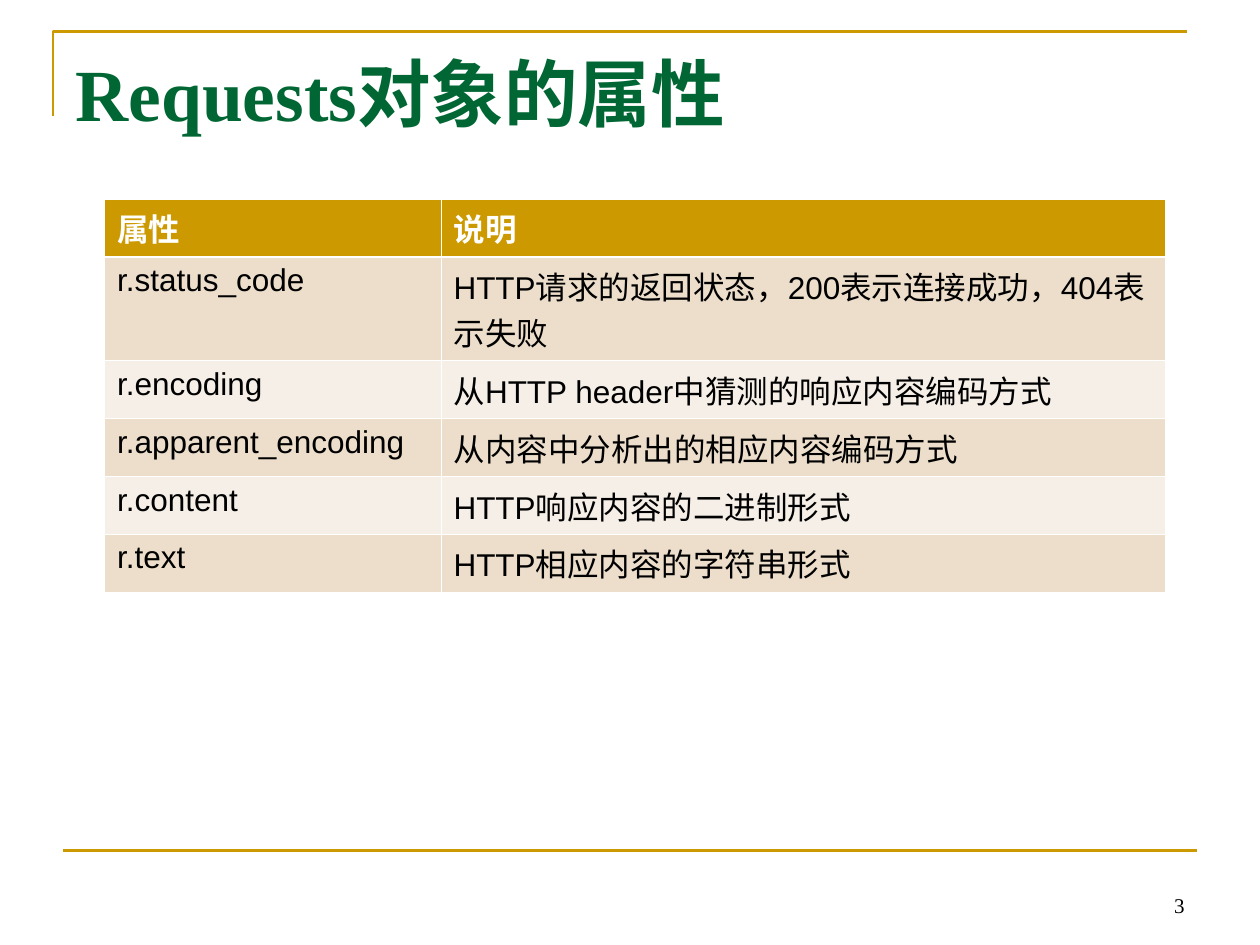
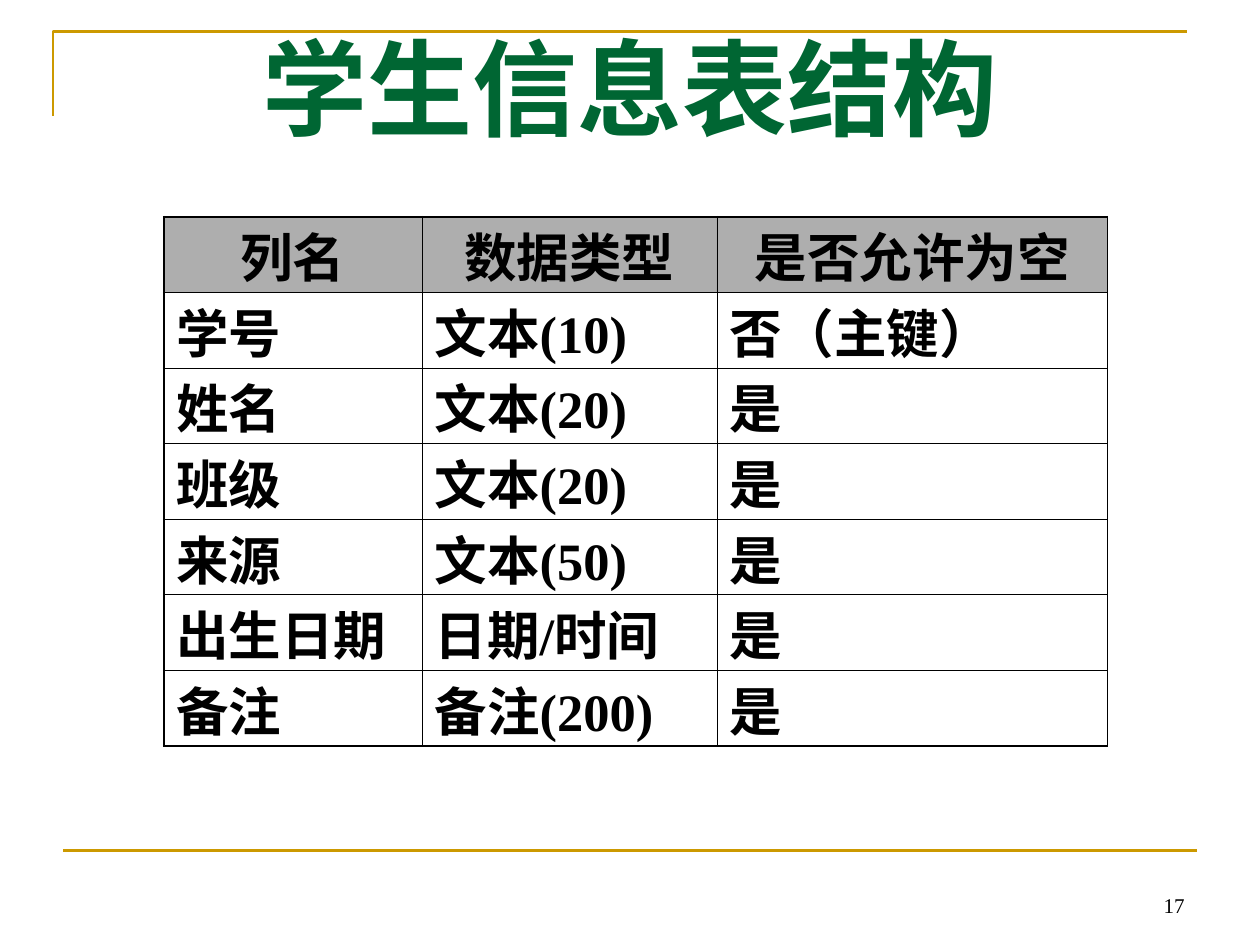
"""Build two slides about request attributes and a student table structure."""

from lxml.etree import SubElement
from pptx import Presentation
from pptx.dml.color import RGBColor as Color
from pptx.enum.shapes import MSO_CONNECTOR as Connector
from pptx.enum.text import MSO_ANCHOR as Anchor, MSO_AUTO_SIZE as AutoSize, PP_ALIGN as Align
from pptx.oxml import parse_xml
from pptx.oxml.ns import nsdecls, qn
from pptx.util import Inches, Pt

THEME = {
    "gold": Color.from_string("CC9900"),
    "page_number": {"name": "Times New Roman", "size": Pt(12), "bold": False, "color": "000000"},
    "title": {"name": "Times New Roman", "size": Pt(42), "bold": True, "color": "006633"},
    "big_title": {"name": "Times New Roman", "size": Pt(60), "bold": True, "color": "006633"},
    "attribute_header": {"name": "Arial", "size": Pt(18), "bold": True, "color": "FFFFFF"},
    "attribute_body": {"name": "Arial", "size": Pt(18), "bold": False, "color": "000000"},
    "field": {"name": "Times New Roman", "size": Pt(30), "bold": True, "color": "000000"},
}

PAGES = [
    {
        "number": "3",
        "title": "Requests对象的属性",
        "title_style": "title",
        "title_box": (0.5, 0.33, 8.5, 0.92),
        "title_align": Align.LEFT,
        "table_box": (0.83, 1.58, 8.42, 3.12),
        "columns": [2.67, 5.75],
        "row_heights": [0.46, 0.82, 0.46, 0.46, 0.46, 0.46],
        "styles": ("attribute_header", "attribute_body"),
        "header_align": Align.LEFT,
        "header_fill": ("CC9900", 100),
        "body_fills": ["ECDECB", "F6EFE7"],
        "margin": 0.05,
        "border": {"color": "FFFFFF", "inner": 0.45, "outer": 0.45, "header": 1.47},
        "rows": [
            ("属性", "说明"),
            ("r.status_code", "HTTP请求的返回状态，200表示连接成功，404表示失败"),
            ("r.encoding", "从HTTP header中猜测的响应内容编码方式"),
            ("r.apparent_encoding", "从内容中分析出的相应内容编码方式"),
            ("r.content", "HTTP响应内容的二进制形式"),
            ("r.text", "HTTP相应内容的字符串形式"),
        ],
    },
    {
        "number": "17",
        "title": "学生信息表结构",
        "title_style": "big_title",
        "title_box": (1.14, 0.14, 7.72, 1.1),
        "title_align": Align.CENTER,
        "table_box": (1.3, 1.72, 7.49, 4.2),
        "columns": [2.05, 2.34, 3.1],
        "row_heights": [0.6] * 7,
        "styles": ("field", "field"),
        "header_align": Align.CENTER,
        "header_fill": ("5F5F5F", 50),
        "body_fills": [],
        "margin": 0,
        "border": {"color": "000000", "inner": 0.45, "outer": 1.08, "header": 0.45},
        "rows": [
            ("列名", "数据类型", "是否允许为空"),
            ("学号", "文本(10)", "否（主键）"),
            ("姓名", "文本(20)", "是"),
            ("班级", "文本(20)", "是"),
            ("来源", "文本(50)", "是"),
            ("出生日期", "日期/时间", "是"),
            ("备注", "备注(200)", "是"),
        ],
    },
]


def write_text(frame, text, style, align):
    """Write one styled paragraph into a text frame."""
    frame.word_wrap = True
    para = frame.paragraphs[0]
    para.alignment = align
    span = para.add_run()
    span.text = text
    for name, value in THEME[style].items():
        if name == "color":
            span.font.color.rgb = Color.from_string(value)
        else:
            setattr(span.font, name, value)


def draw_borders(cell, color, widths):
    """Outline a cell with the given point widths, left, right, top, bottom."""
    properties = cell._tc.get_or_add_tcPr()
    for index, (side, width) in enumerate(zip("LRTB", widths)):
        properties.insert(index, parse_xml(
            f'<a:ln{side} {nsdecls("a")} w="{Pt(width)}"><a:solidFill>'
            f'<a:srgbClr val="{color}"/></a:solidFill></a:ln{side}>'))


deck = Presentation()
deck.slide_width, deck.slide_height = Inches(10), Inches(7.5)

for page in PAGES:
    slide = deck.slides.add_slide(deck.slide_layouts[5])

    builder = slide.shapes.build_freeform(Inches(0.42), Inches(0.92))
    builder.add_line_segments(
        [(Inches(0.42), Inches(0.25)), (Inches(9.42), Inches(0.25))], close=False)
    corner = builder.convert_to_shape()
    corner.shadow.inherit = False
    corner.fill.background()
    rule = slide.shapes.add_connector(
        Connector.STRAIGHT, Inches(0.5), Inches(6.75), Inches(9.5), Inches(6.75))
    SubElement(rule._element.spPr, qn("a:effectLst"))
    for outline in (corner.line, rule.line):
        outline.color.rgb = THEME["gold"]
        outline.width = Pt(1.5)

    number_box = slide.shapes.add_textbox(Inches(7.17), Inches(6.83), Inches(2.33), Inches(0.5))
    number_box.text_frame.vertical_anchor = Anchor.BOTTOM
    write_text(number_box.text_frame, page["number"], "page_number", Align.RIGHT)

    title = slide.shapes.title
    for side, length in zip(("left", "top", "width", "height"), page["title_box"]):
        setattr(title, side, Inches(length))
    title.text_frame.auto_size = AutoSize.NONE
    title.text_frame.vertical_anchor = Anchor.TOP
    write_text(title.text_frame, page["title"], page["title_style"], page["title_align"])

    rows, border = page["rows"], page["border"]
    last_row, last_column = len(rows) - 1, len(page["columns"]) - 1
    table = slide.shapes.add_table(
        len(rows), len(page["columns"]), *map(Inches, page["table_box"])).table
    table.first_row = table.horz_banding = False
    for column, width in zip(table.columns, page["columns"]):
        column.width = Inches(width)
    for row, height in zip(table.rows, page["row_heights"]):
        row.height = Inches(height)

    for r, texts in enumerate(rows):
        for c, text in enumerate(texts):
            cell = table.cell(r, c)
            cell.margin_top = cell.margin_bottom = Inches(page["margin"])
            align = Align.LEFT if r else page["header_align"]
            write_text(cell.text_frame, text, page["styles"][min(r, 1)], align)
            if r == 0:
                fill_color, opacity = page["header_fill"]
                cell.fill.solid()
                cell.fill.fore_color.rgb = Color.from_string(fill_color)
                if opacity < 100:
                    shade = cell._tc.tcPr.find(".//" + qn("a:srgbClr"))
                    SubElement(shade, qn("a:alpha"), val=str(opacity * 1000))
            elif page["body_fills"]:
                cell.fill.solid()
                cell.fill.fore_color.rgb = Color.from_string(page["body_fills"][(r - 1) % 2])
            else:
                cell.fill.background()
            draw_borders(cell, border["color"], [
                border["outer" if c == 0 else "inner"],
                border["outer" if c == last_column else "inner"],
                border[{0: "outer", 1: "header"}.get(r, "inner")],
                border[{0: "header", last_row: "outer"}.get(r, "inner")],
            ])

deck.save("out.pptx")
